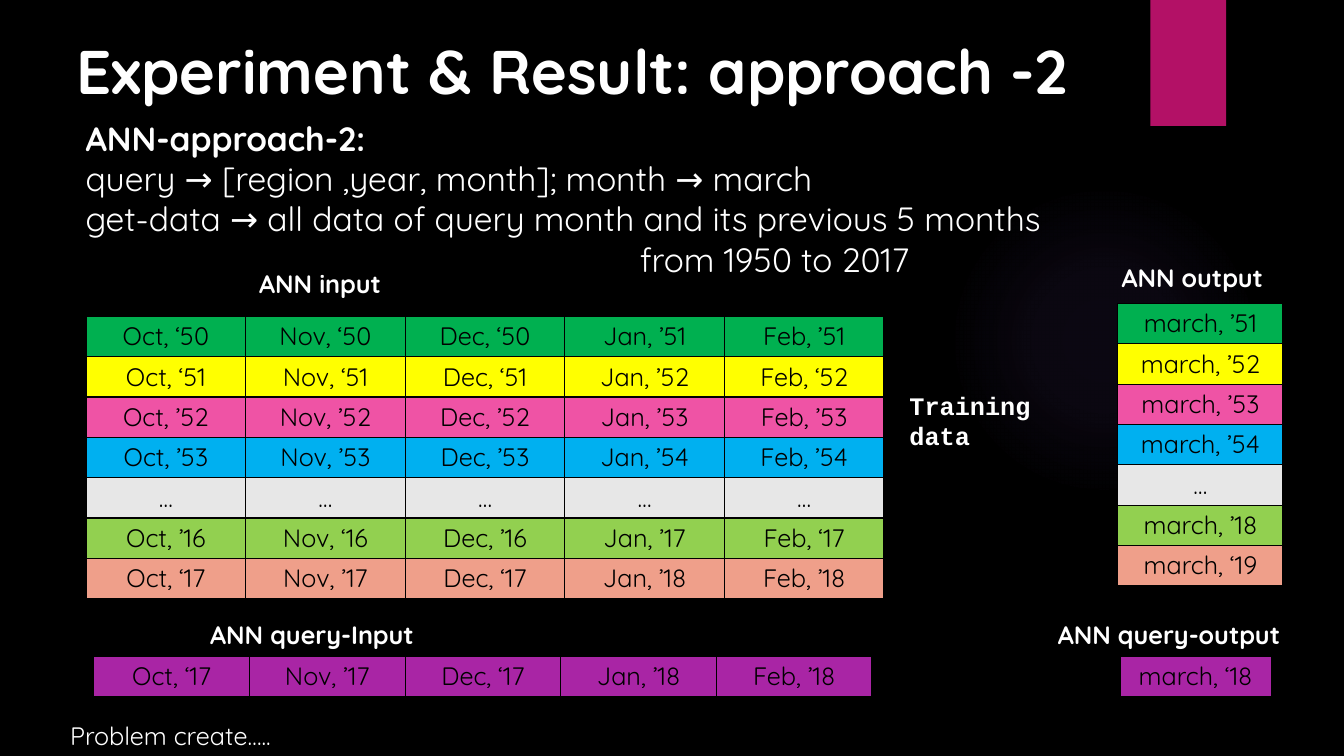
import dataclasses
import typing

import lxml.etree
import pptx
import pptx.dml.color
import pptx.enum.shapes
import pptx.enum.text
import pptx.oxml.ns
import pptx.util

Pt = pptx.util.Pt
qn = pptx.oxml.ns.qn
ALIGN = pptx.enum.text.PP_ALIGN
SHAPE = pptx.enum.shapes.MSO_SHAPE
SANS = "Quicksand"
MONO = "Courier New"
BLACK, WHITE, PINK, GLOW = "000000", "FFFFFF", "B31166", "9B6BF2"
PURPLE = "A925A5"


@dataclasses.dataclass
class Line:
    text: str
    bold: bool = True
    size: float = 18
    font: str = SANS
    indent: float = 0


@dataclasses.dataclass
class Label:
    box: tuple[float, float, float, float]
    lines: list[Line]
    wrap: bool = True
    align: typing.Any = ALIGN.LEFT


@dataclasses.dataclass
class Grid:
    left: float
    top: float
    width: float
    high: float
    rows: list[list[str]]
    fills: list[str]


FILLS = ["00B050", "FFFF00", "EF53A5", "00B0F0", "E7E7E7", "92D050", "EF9F8A"]
INPUT = [
    ["Oct, ‘50", "Nov, ‘50", "Dec, ‘50", "Jan, ’51", "Feb, ’51"],
    ["Oct, ‘51", "Nov, ‘51", "Dec, ‘51", "Jan, ’52", "Feb, ‘52"],
    ["Oct, ’52", "Nov, ’52", "Dec, ’52", "Jan, ’53", "Feb, ’53"],
    ["Oct, ’53", "Nov, ’53", "Dec, ’53", "Jan, ’54", "Feb, ’54"],
    ["…"] * 5,
    ["Oct, ’16", "Nov, ‘16", "Dec, ’16", "Jan, ’17", "Feb, ‘17"],
    ["Oct, ‘17", "Nov, ’17", "Dec, ‘17", "Jan, ’18", "Feb, ’18"],
]
OUTPUT = [["march, ’51"], ["march, ’52"], ["march, ’53"], ["march, ’54"],
          ["…"], ["march, ’18"], ["march, ‘19"]]

GRIDS = [
    Grid(61.5, 226, 114, 28.8, INPUT, FILLS),
    Grid(67, 469, 111.2, 28.8, INPUT[-1:], [PURPLE]),
    Grid(798.5, 216.8, 118, 28.8, OUTPUT, FILLS),
    Grid(800, 469, 108, 28.8, [["march, ‘18"]], [PURPLE]),
]
LABELS = [
    Label((44, 20, 730, 60.5), [Line("Experiment & Result: approach -2", size=44)],
          wrap=False, align=ALIGN.CENTER),
    Label((54, 80.6, 870.5, 124), [
        Line("ANN-approach-2:", size=24),
        Line("query → [region ,year, month]; month → march", False, 24),
        Line("get-data → all data of query month and its previous 5 months", False, 24),
        Line("from 1950 to 2017", False, 24, indent=396),
    ]),
    Label((178, 188, 120, 29), [Line("ANN input")]),
    Label((794, 183.6, 120, 29), [Line("ANN output")]),
    Label((143, 439, 170, 29), [Line("ANN query-Input")]),
    Label((748.5, 439, 211.5, 29), [Line("ANN query-output")]),
    Label((642.5, 275, 145.4, 29), [Line("Training data", font=MONO)]),
    Label((43, 511, 269, 29), [Line("Problem create…..", bold=False)]),
]


def tint(fill: typing.Any, color: str) -> None:
    fill.solid()
    fill.fore_color.rgb = pptx.dml.color.RGBColor.from_string(color)


def style(font: typing.Any, color: str, **format: typing.Any) -> None:
    for key, value in format.items():
        setattr(font, key, value)
    tint(font.fill, color)


def block(slide: typing.Any, kind: typing.Any, box: tuple, color: str) -> typing.Any:
    """Add a plain shape without line or shadow."""
    shape = slide.shapes.add_shape(kind, *map(Pt, box))
    shape.shadow.inherit = False
    shape.line.fill.background()
    tint(shape.fill, color)
    return shape


def fade(shape: typing.Any, color: str, stops: list[tuple[int, int]]) -> None:
    """Swap the fill for a round gradient of (place, opacity) percents."""
    sub = lxml.etree.SubElement
    grad = lxml.etree.Element(qn("a:gradFill"))
    items = sub(grad, qn("a:gsLst"))
    for place, alpha in stops:
        stop = sub(items, qn("a:gs"), pos=str(place * 1000))
        tone = sub(stop, qn("a:srgbClr"), val=color)
        sub(tone, qn("a:alpha"), val=str(alpha * 1000))
    ring = sub(grad, qn("a:path"), {"path": "circle"})
    sub(ring, qn("a:fillToRect"), dict.fromkeys("ltrb", "50000"))
    props = shape.element.spPr
    props.replace(props.find(qn("a:solidFill")), grad)


def write(slide: typing.Any, label: Label) -> None:
    frame = slide.shapes.add_textbox(*map(Pt, label.box)).text_frame
    frame.word_wrap = label.wrap
    frame.auto_size = pptx.enum.text.MSO_AUTO_SIZE.SHAPE_TO_FIT_TEXT
    for i, line in enumerate(label.lines):
        para = frame.add_paragraph() if i else frame.paragraphs[0]
        para.alignment = label.align
        if line.indent:
            para._p.get_or_add_pPr().set("marL", str(Pt(line.indent)))
        run = para.add_run()
        run.text = line.text
        style(run.font, WHITE, name=line.font, size=Pt(line.size), bold=line.bold)


def edge(cell: typing.Any) -> None:
    """Give a cell thin black borders."""
    props = cell._tc.get_or_add_tcPr()
    for side in ("a:lnL", "a:lnR", "a:lnT", "a:lnB"):
        line = lxml.etree.SubElement(props, qn(side), w=str(Pt(1)))
        paint = lxml.etree.SubElement(line, qn("a:solidFill"))
        lxml.etree.SubElement(paint, qn("a:srgbClr"), val=BLACK)


def draw(slide: typing.Any, grid: Grid) -> None:
    count, span = len(grid.rows), len(grid.rows[0])
    box = (grid.left, grid.top, grid.width * span, grid.high * count)
    table = slide.shapes.add_table(count, span, *map(Pt, box)).table
    table.first_row = table.horz_banding = False
    for col in table.columns:
        col.width = Pt(grid.width)
    for row, texts, color in zip(table.rows, grid.rows, grid.fills):
        row.height = Pt(grid.high)
        for cell, text in zip(row.cells, texts):
            edge(cell)
            tint(cell.fill, color)
            cell.margin_top = cell.margin_bottom = Pt(3)
            para = cell.text_frame.paragraphs[0]
            para.alignment = ALIGN.CENTER
            run = para.add_run()
            run.text = text
            style(run.font, BLACK, name=SANS, size=Pt(18), bold=False)


def main() -> None:
    deck = pptx.Presentation()
    deck.slide_width, deck.slide_height = Pt(960), Pt(540)
    slide = deck.slides.add_slide(deck.slide_layouts[6])
    tint(slide.background.fill, BLACK)
    glow = block(slide, SHAPE.OVAL, (677.5, 131.8, 221.8, 221.8), GLOW)
    fade(glow, GLOW, [(0, 7), (36, 6), (69, 0)])
    block(slide, SHAPE.RECTANGLE, (821.8, 0, 54, 90), PINK)
    for grid in GRIDS:
        draw(slide, grid)
    for label in LABELS:
        write(slide, label)
    deck.save("out.pptx")


if __name__ == "__main__":
    main()
